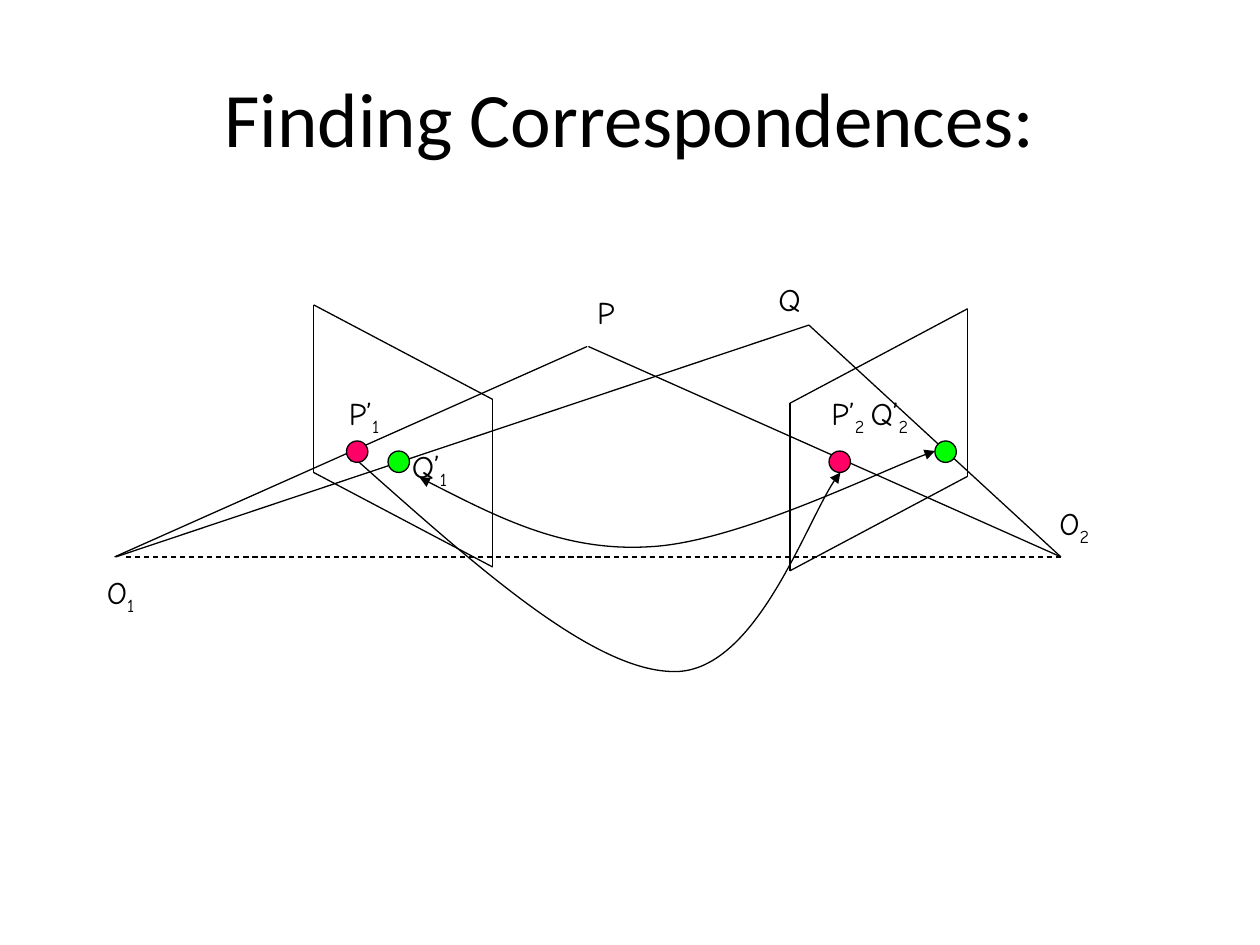
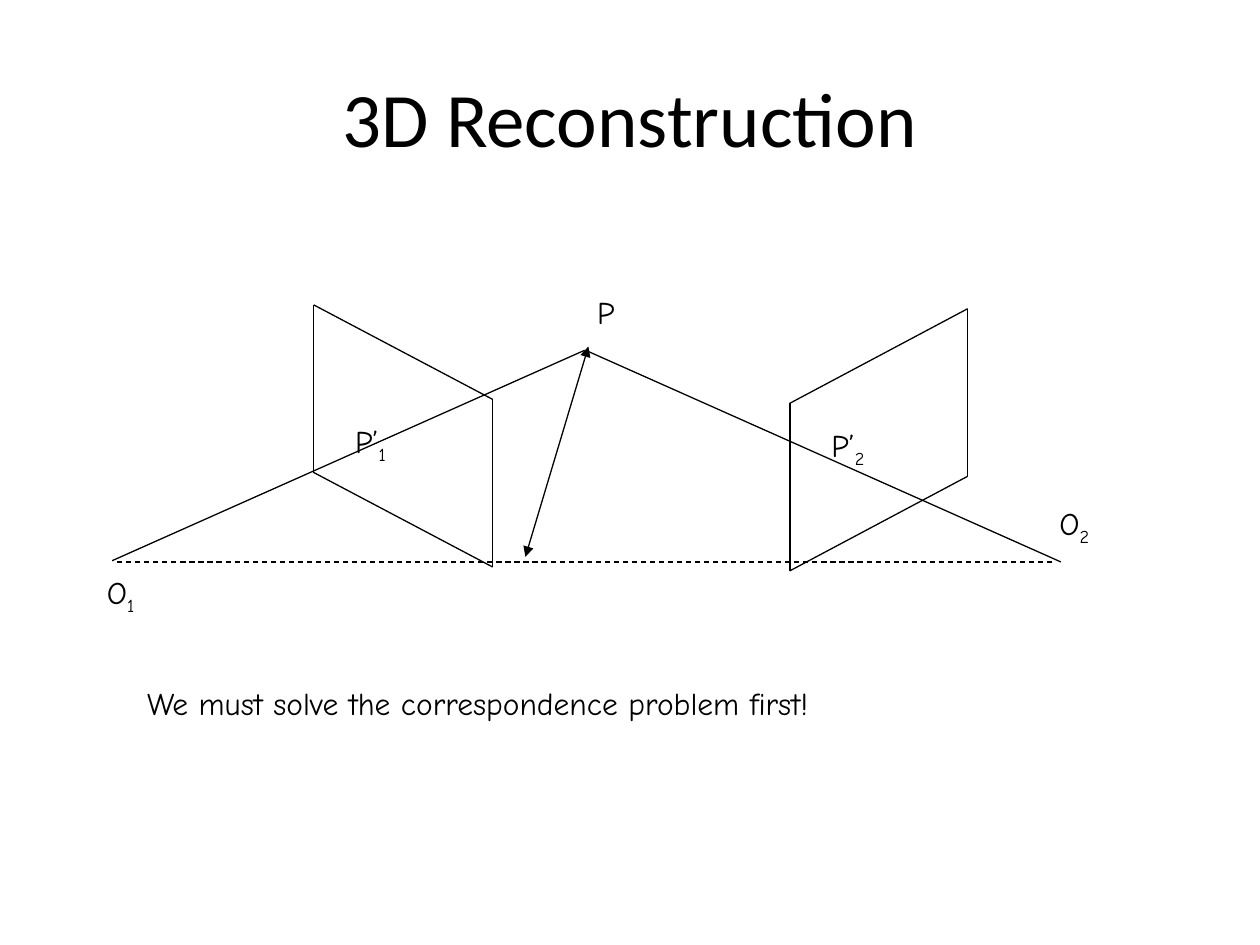
import pptx
import pptx.dml.color
import pptx.enum.dml
import pptx.enum.shapes
import pptx.enum.text
import pptx.oxml.ns
import pptx.oxml.xmlchemy
import pptx.util

Inches = pptx.util.Inches
RGBColor = pptx.dml.color.RGBColor
OxmlElement = pptx.oxml.xmlchemy.OxmlElement
qn = pptx.oxml.ns.qn

BLACK = RGBColor(0x00, 0x00, 0x00)
PINK = RGBColor(0xFF, 0x00, 0x66)
GREEN = RGBColor(0x00, 0xFF, 0x00)

TITLE_FONT = {"name": "Calibri", "size": pptx.util.Pt(44)}
LABEL_FONT = {"name": "Comic Neue", "size": pptx.util.Pt(18)}
LINE_WIDTH = pptx.util.Pt(0.75)
DOT_SIZE = 0.17

# Corners of the two image planes, in drawing order
LEFT_PLANE = [(3.91, 4.5), (2.49, 3.75), (2.49, 2.42), (3.91, 3.17)]
RIGHT_PLANE = [(6.27, 4.53), (7.68, 3.78), (7.68, 2.45), (6.27, 3.2)]


def style_font(font, formats):
    for name, value in formats.items():
        setattr(font, name, value)
    font.color.rgb = BLACK


def style_line(line, dashed=False, arrows=False):
    line.color.rgb = BLACK
    line.width = LINE_WIDTH
    if dashed:
        line.dash_style = pptx.enum.dml.MSO_LINE.DASH
    if arrows:
        for end in ("a:headEnd", "a:tailEnd"):
            arrowhead = OxmlElement(end)
            arrowhead.set("type", "triangle")
            line._get_or_add_ln().append(arrowhead)


def add_line(shapes, start, end, **style):
    points = [Inches(value) for value in (*start, *end)]
    line = shapes.add_connector(pptx.enum.shapes.MSO_CONNECTOR.STRAIGHT, *points)
    style_line(line.line, **style)
    line._element.spPr.append(OxmlElement("a:effectLst"))


def add_plane(page, corners):
    group = page.shapes.add_group_shape()
    for start, end in zip(corners, corners[1:] + corners[:1]):
        add_line(group.shapes, start, end)


def add_label(page, left, top, width, *parts):
    """Write the parts in turn as normal text and subscript."""
    box = page.shapes.add_textbox(Inches(left), Inches(top), Inches(width), Inches(0.5))
    frame = box.text_frame
    frame.word_wrap = False
    frame.auto_size = pptx.enum.text.MSO_AUTO_SIZE.SHAPE_TO_FIT_TEXT
    for index, part in enumerate(parts):
        span = frame.paragraphs[0].add_run()
        span.text = part
        style_font(span.font, LABEL_FONT)
        if index % 2:
            span._r.get_or_add_rPr().set("baseline", "-25000")


def add_curve(page, start, *points):
    """Draw a double arrow; each three points make one Bézier segment."""
    builder = page.shapes.build_freeform(*map(Inches, start), scale=1.0)
    builder.add_line_segments([tuple(map(Inches, point)) for point in points], close=False)
    curve = builder.convert_to_shape()
    segments = list(curve._element.iter(qn("a:lnTo")))
    for first in range(0, len(segments), 3):
        bezier = OxmlElement("a:cubicBezTo")
        segments[first].addprevious(bezier)
        for segment in segments[first:first + 3]:
            bezier.append(segment[0])
            segment.getparent().remove(segment)
    curve.fill.background()
    curve.shadow.inherit = False
    style_line(curve.line, arrows=True)


def add_dot(page, left, top, color):
    dot = page.shapes.add_shape(
        pptx.enum.shapes.MSO_SHAPE.OVAL,
        Inches(left), Inches(top), Inches(DOT_SIZE), Inches(DOT_SIZE))
    dot.fill.solid()
    dot.fill.fore_color.rgb = color
    dot.shadow.inherit = False
    style_line(dot.line)


def add_stereo_page(deck, title):
    """Add a page with its title, both image planes and the shared labels."""
    page = deck.slides.add_slide(deck.slide_layouts[5])
    heading = page.shapes.title
    place = {"left": 0.5, "top": 0.3, "width": 9, "height": 1.25}
    for name, value in place.items():
        setattr(heading, name, Inches(value))
    heading.text_frame.text = title
    style_font(heading.text_frame.paragraphs[0].runs[0].font, TITLE_FONT)

    add_plane(page, RIGHT_PLANE)
    add_plane(page, LEFT_PLANE)
    add_label(page, 0.75, 4.5, 0.57, "O", "1")
    add_label(page, 8.31, 3.95, 0.6, "O", "2")
    add_label(page, 4.64, 2.28, 0.38, "P")
    return page


def build_correspondences(deck):
    page = add_stereo_page(deck, "Finding Correspondences:")
    # Rays from both camera centres to P and Q, and the baseline
    add_line(page.shapes, (8.42, 4.42), (4.67, 2.75))
    add_line(page.shapes, (0.91, 4.42), (4.66, 2.75))
    add_line(page.shapes, (0.92, 4.42), (6.42, 2.58))
    add_line(page.shapes, (8.42, 4.42), (6.42, 2.58))
    add_line(page.shapes, (1, 4.42), (8.42, 4.42), dashed=True)
    # Point labels
    add_label(page, 6.08, 2.17, 0.49, "Q")
    add_label(page, 2.67, 3.08, 0.54, "P’", "1")
    add_label(page, 3.17, 3.5, 0.65, "Q’", "1")
    add_label(page, 6.5, 3.08, 1.12, "P’", "2 ", "Q’", "2")
    # Matches between the projected points
    add_curve(page, (3.33, 3.79), (3.9, 4.08), (4.47, 4.38), (5.15, 4.34),
              (5.83, 4.31), (7.04, 3.71), (7.42, 3.58))
    add_curve(page, (2.75, 3.58), (3.72, 4.44), (4.68, 5.31), (5.33, 5.33),
              (5.99, 5.36), (6.44, 4.01), (6.67, 3.75))
    for left, top, color in [(6.58, 3.58, PINK), (2.75, 3.5, PINK),
                             (3.08, 3.58, GREEN), (7.42, 3.5, GREEN)]:
        add_dot(page, left, top, color)


def build_reconstruction(deck):
    page = add_stereo_page(deck, "3D Reconstruction")
    # Rays to P, the baseline and the depth arrow
    add_line(page.shapes, (8.42, 4.46), (4.67, 2.79))
    add_line(page.shapes, (0.89, 4.45), (4.64, 2.78))
    add_line(page.shapes, (0.93, 4.46), (8.35, 4.46), dashed=True)
    add_line(page.shapes, (4.67, 2.75), (4.17, 4.42), arrows=True)
    # Point labels and remark
    add_label(page, 2.72, 3.3, 0.54, "P’", "1")
    add_label(page, 6.5, 3.33, 0.57, "P’", "2")
    add_label(page, 1.07, 5.38, 7.89, "We must solve the correspondence problem first!")


def main():
    deck = pptx.Presentation()
    deck.slide_width = Inches(10)
    deck.slide_height = Inches(7.5)
    build_correspondences(deck)
    build_reconstruction(deck)
    deck.save("out.pptx")


if __name__ == "__main__":
    main()
